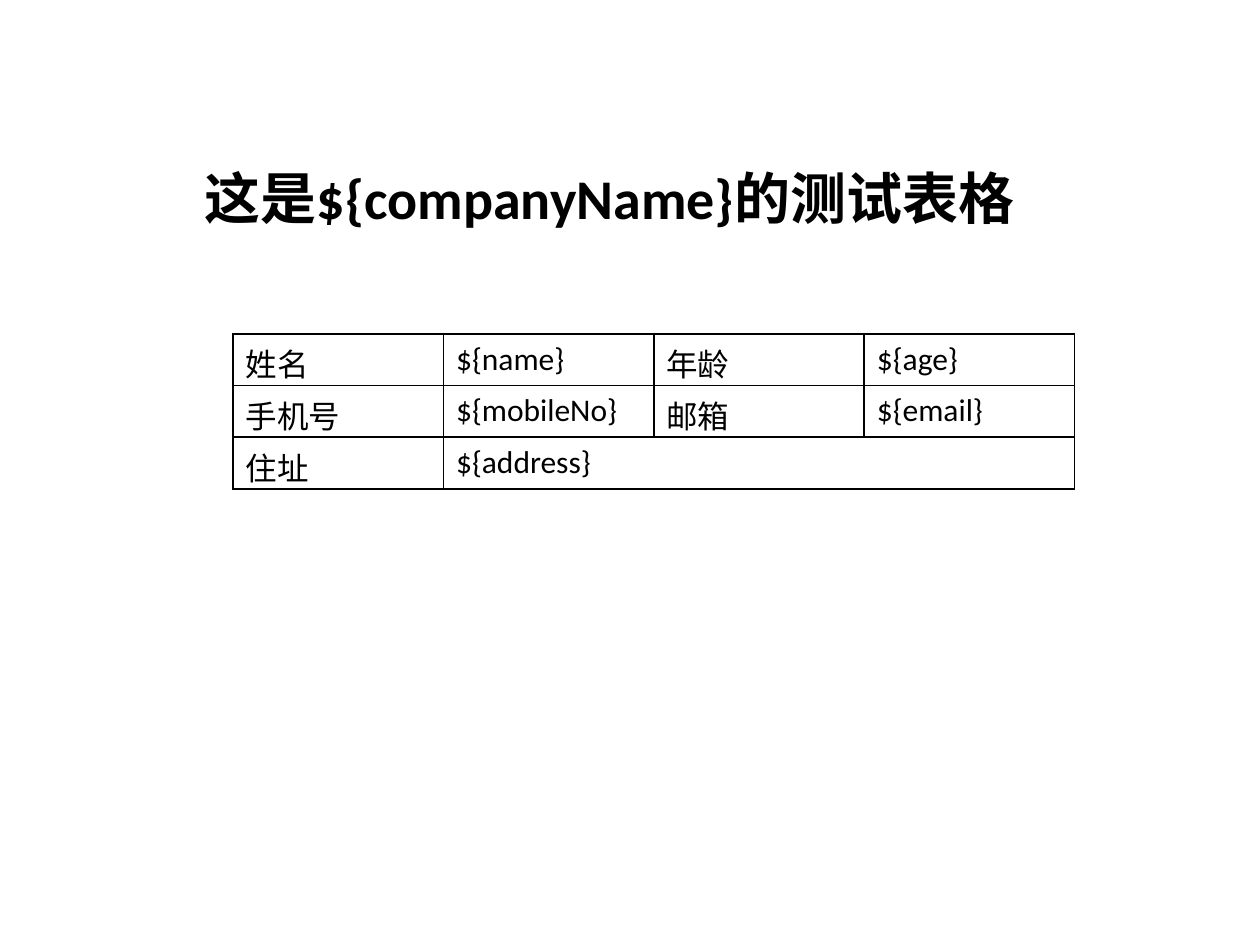
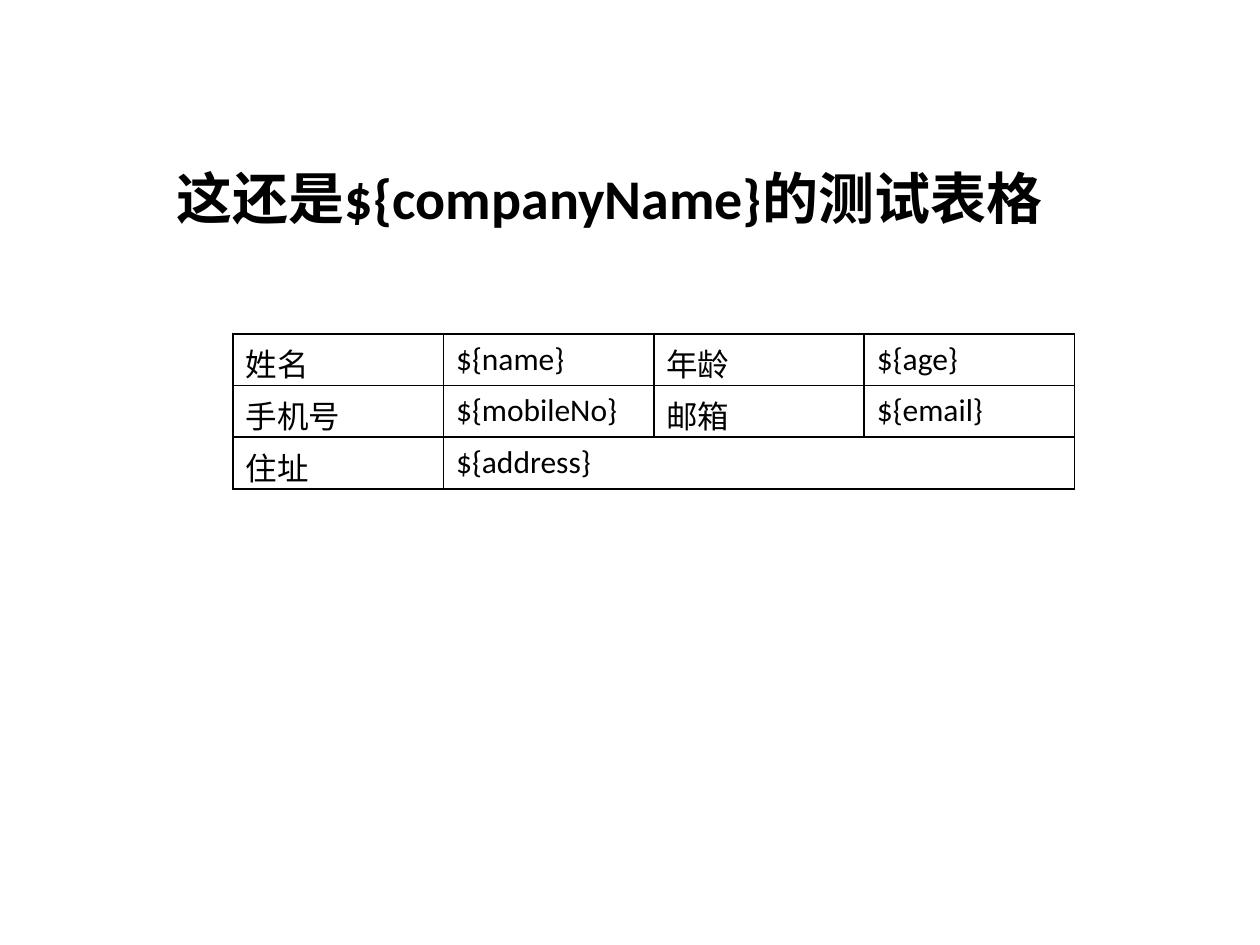
import pptx
import pptx.dml.color
import pptx.enum.text
import pptx.oxml
import pptx.oxml.ns
import pptx.util

Inches = pptx.util.Inches
Pt = pptx.util.Pt

BLACK = pptx.dml.color.RGBColor(0, 0, 0)
WHITE = pptx.dml.color.RGBColor(255, 255, 255)

TITLES = ["这是${companyName}的测试表格", "这还是${companyName}的测试表格"]
CONTACT_ROWS = [
    ["姓名", "${name}", "年龄", "${age}"],
    ["手机号", "${mobileNo}", "邮箱", "${email}"],
    ["住址", "${address}"],
]
COLUMN_WIDTH = Inches(1.67)
ROW_HEIGHT = Inches(0.41)


class ContactDeck:
    """Holds the deck's text styles and border, and draws on the current slide."""

    title_font = {"name": "Calibri", "size": Pt(32), "bold": True}
    cell_font = {"name": "Calibri", "size": Pt(18), "bold": False}
    border_width = Pt(1)

    def __init__(self):
        self.presentation = pptx.Presentation()
        self.presentation.slide_width = Inches(10)
        self.presentation.slide_height = Inches(7.5)
        self.slide = None

    def add_slide(self):
        self.slide = self.presentation.slides.add_slide(self.presentation.slide_layouts[6])
        self.slide.background.fill.solid()
        self.slide.background.fill.fore_color.rgb = WHITE

    def add_text(self, paragraph, text, font_format):
        run = paragraph.add_run()
        run.text = text
        for attribute, value in font_format.items():
            setattr(run.font, attribute, value)
        run.font.color.rgb = BLACK

    def add_title(self, text):
        shape = self.slide.shapes.add_textbox(Inches(0.59), Inches(0.76), Inches(8.5), Inches(1.61))
        frame = shape.text_frame
        frame.word_wrap = True
        frame.vertical_anchor = pptx.enum.text.MSO_ANCHOR.MIDDLE
        paragraph = frame.paragraphs[0]
        paragraph.alignment = pptx.enum.text.PP_ALIGN.CENTER
        self.add_text(paragraph, text, self.title_font)

    def add_borders(self, cell):
        properties = cell._tc.get_or_add_tcPr()
        for side in ("lnL", "lnR", "lnT", "lnB"):
            properties.append(pptx.oxml.parse_xml(
                f'<a:{side} {pptx.oxml.ns.nsdecls("a")} w="{self.border_width}">'
                f'<a:solidFill><a:srgbClr val="{BLACK}"/></a:solidFill></a:{side}>'))

    def add_table(self, rows):
        column_count = max(len(row) for row in rows)
        table = self.slide.shapes.add_table(
            len(rows), column_count, Inches(1.85), Inches(2.65),
            COLUMN_WIDTH * column_count, ROW_HEIGHT * len(rows)).table
        table.first_row = table.horz_banding = False
        for cell in table.iter_cells():
            self.add_borders(cell)
            cell.fill.background()
        for row_index, row in enumerate(rows):
            for column_index, text in enumerate(row):
                cell = table.cell(row_index, column_index)
                self.add_text(cell.text_frame.paragraphs[0], text, self.cell_font)
            if len(row) < column_count:
                cell.merge(table.cell(row_index, column_count - 1))


def main():
    deck = ContactDeck()
    for title in TITLES:
        deck.add_slide()
        deck.add_title(title)
        deck.add_table(CONTACT_ROWS)
    deck.presentation.save("out.pptx")


if __name__ == "__main__":
    main()
